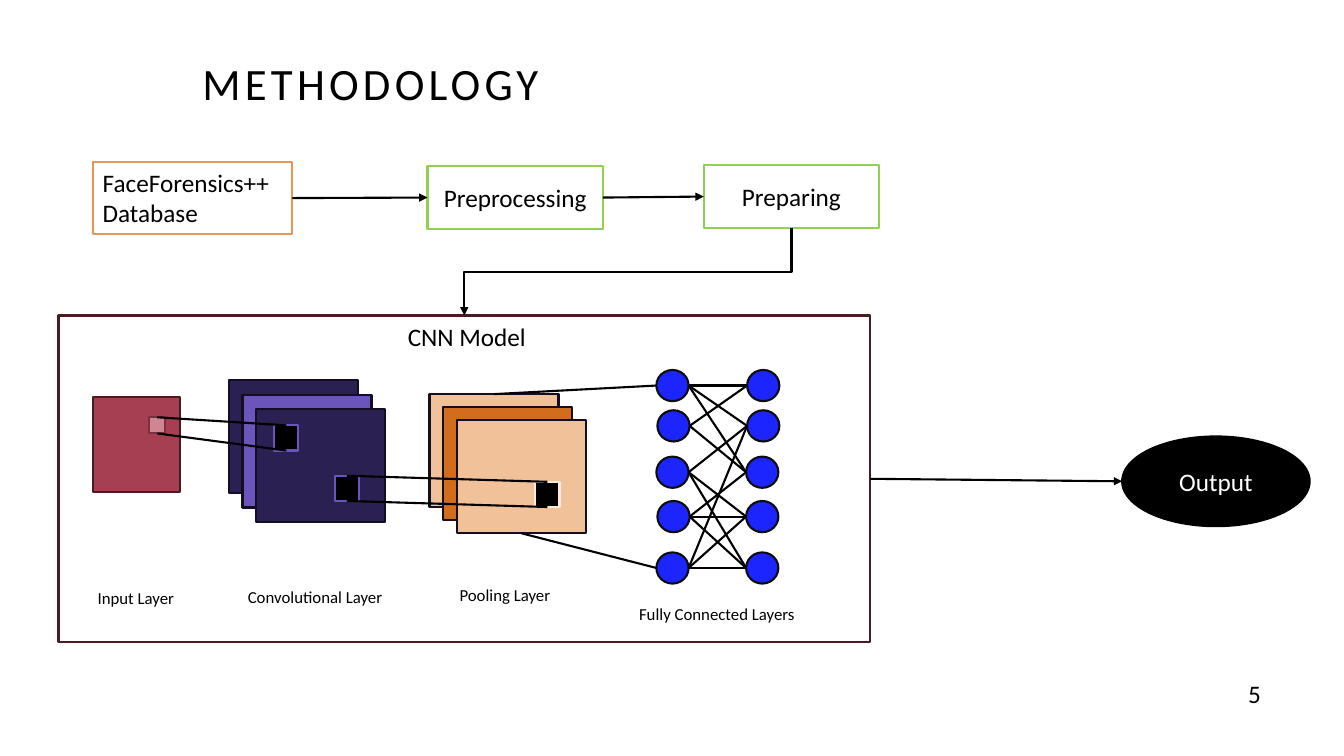
from lxml.etree import SubElement
from pptx import Presentation
from pptx.dml.color import RGBColor
from pptx.enum.shapes import MSO_CONNECTOR, MSO_SHAPE
from pptx.enum.text import MSO_ANCHOR, PP_ALIGN
from pptx.oxml.ns import qn
from pptx.util import Inches, Pt

COLORS = {
    "black": "000000", "white": "FFFFFF", "database": "E89756", "step": "92D050",
    "frame": "481C24", "input": "A53F51", "patch": "D08592", "patch line": "7C2F3D",
    "navy": "2B2052", "violet": "6B54BC", "layer line": "130E24", "peach": "F1C19A",
    "orange": "D26D1D", "cream": "FAEADD", "node": "1D25FF", "node line": "0D0D0D",
}
CELL = Inches(0.1)
NODE_ROWS = (36.7, 40.7, 45.3, 49.7, 54.8)
NODE_LINKS = (
    (0, 0), (0, 1), (0, 2), (1, 0), (1, 2), (2, 1), (2, 3),
    (2, 4), (3, 2), (3, 3), (3, 4), (4, 1), (4, 3), (4, 4),
)
SIDES = {"top": (0.5, 0), "bottom": (0.5, 1), "left": (0, 0.5), "right": (1, 0.5)}


def color(name):
    return RGBColor.from_string(COLORS[name])


def write(frame, text, size=18, ink="black", align=PP_ALIGN.LEFT,
          anchor=MSO_ANCHOR.TOP, spacing=0, line_spacing=1.0):
    frame.word_wrap = True
    frame.vertical_anchor = anchor
    paragraph = frame.paragraphs[0]
    paragraph.alignment = align
    paragraph.line_spacing = line_spacing
    run = paragraph.add_run()
    run.text = text
    run.font.name = "Calibri"
    run.font.size = Pt(size)
    run.font.color.rgb = color(ink)
    if spacing:
        run.font._element.set("spc", str(spacing * 100))


def side_point(shape, side):
    across, down = SIDES[side]
    return int(shape.left + across * shape.width), int(shape.top + down * shape.height)


class Diagram:
    font_format = {"align": PP_ALIGN.CENTER, "anchor": MSO_ANCHOR.MIDDLE}
    line_width = Pt(1.5)

    def __init__(self, presentation):
        self.slide = presentation.slides.add_slide(presentation.slide_layouts[5])

    def cells(self, *values):
        return [round(value * CELL) for value in values]

    def title(self, text, column, row, columns, rows):
        shape = self.slide.shapes.title
        shape.left, shape.top, shape.width, shape.height = self.cells(column, row, columns, rows)
        write(shape.text_frame, text, size=32, align=PP_ALIGN.CENTER,
              anchor=MSO_ANCHOR.BOTTOM, spacing=3, line_spacing=0.9)

    def shape(self, column, row, columns, rows, line, fill=None,
              kind=MSO_SHAPE.RECTANGLE, text=None, **text_format):
        shape = self.slide.shapes.add_shape(kind, *self.cells(column, row, columns, rows))
        shape.shadow.inherit = False
        shape.line.color.rgb = color(line)
        shape.line.width = self.line_width
        if fill:
            shape.fill.solid()
            shape.fill.fore_color.rgb = color(fill)
        else:
            shape.fill.background()
        if text:
            write(shape.text_frame, text, **{**self.font_format, **text_format})
        return shape

    def label(self, text, column, row, columns, rows, **text_format):
        box = self.slide.shapes.add_textbox(*self.cells(column, row, columns, rows))
        write(box.text_frame, text, **text_format)

    def style_connector(self, connector, arrow):
        connector.line.color.rgb = color("black")
        connector.line.width = self.line_width
        if arrow:
            SubElement(connector.line._get_or_add_ln(), qn("a:tailEnd"), type="triangle")
        SubElement(connector._element.spPr, qn("a:effectLst"))

    def link(self, start, start_side, end, end_side, arrow=False):
        connector = self.slide.shapes.add_connector(
            MSO_CONNECTOR.STRAIGHT, *side_point(start, start_side), *side_point(end, end_side))
        self.style_connector(connector, arrow)

    def elbow_down(self, start, end):
        start_x, start_y = side_point(start, "bottom")
        end_x, end_y = side_point(end, "top")
        run, drop = start_x - end_x, end_y - start_y
        left = (start_x + end_x - drop) // 2
        top = (start_y + end_y - run) // 2
        connector = self.slide.shapes.add_connector(
            MSO_CONNECTOR.ELBOW, left, top, left + drop, top + run)
        connector._element.spPr.find(qn("a:xfrm")).set("rot", "5400000")
        self.style_connector(connector, True)

    def stack(self, column, row, step_columns, step_rows, fills):
        return [
            self.shape(column + index * step_columns, row + index * step_rows,
                       12.8, 11.2, "layer line", fill)
            for index, fill in enumerate(fills)
        ]

    def kernel(self, column, row, line):
        return self.shape(column, row, 2.4, 2.5, line, "black")

    def nodes(self, columns):
        return [
            self.shape(column, row, 3.2, 3.1, "node line", "node", MSO_SHAPE.OVAL)
            for column, row in zip(columns, NODE_ROWS)
        ]


def main():
    presentation = Presentation()
    presentation.slide_width = Inches(13.33)
    presentation.slide_height = Inches(7.5)
    diagram = Diagram(presentation)
    diagram.title("METHODOLOGY", 9.2, -2.2, 55.1, 13.6)

    database = diagram.shape(9.2, 16.1, 19.8, 7.1, "database", "white",
                             text="FaceForensics++ Database",
                             align=PP_ALIGN.LEFT, anchor=MSO_ANCHOR.TOP)
    preprocessing = diagram.shape(42.4, 16.5, 17.4, 6.2, "step", text="Preprocessing")
    preparing = diagram.shape(69.8, 16.4, 17.4, 6.2, "step", text="Preparing")
    model = diagram.shape(5.8, 31.3, 80.5, 32.4, "frame")
    output = diagram.shape(111.3, 43.3, 18.6, 8.9, "black", "black", MSO_SHAPE.OVAL,
                           text="Output", ink="white")
    diagram.link(database, "right", preprocessing, "left", arrow=True)
    diagram.link(preprocessing, "right", preparing, "left", arrow=True)
    diagram.elbow_down(preparing, model)
    diagram.link(model, "right", output, "left", arrow=True)
    diagram.label("CNN Model", 37.9, 30.3, 16.8, 6.2, **diagram.font_format)

    diagram.shape(9.2, 39.4, 8.7, 9.4, "frame", "input")
    patch = diagram.shape(14.8, 41.4, 1.6, 1.6, "patch line", "patch")
    diagram.stack(22.7, 37.7, 1.35, 1.45, ("navy", "violet", "navy"))
    pooling = diagram.stack(42.6, 39.1, 1.35, 1.3, ("peach", "orange", "peach"))
    first_kernel = diagram.kernel(27.2, 42.2, "violet")
    second_kernel = diagram.kernel(33.2, 47.2, "violet")
    pooling_kernel = diagram.kernel(53.1, 47.8, "cream")
    for start, end in ((patch, first_kernel), (second_kernel, pooling_kernel)):
        for side in ("top", "bottom"):
            diagram.link(start, side, end, side)

    left_nodes = diagram.nodes((65.1, 65.2, 65.1, 65.2, 65.1))
    right_nodes = diagram.nodes((74.1, 74.1, 74, 74, 74))
    for left, right in NODE_LINKS:
        diagram.link(left_nodes[left], "right", right_nodes[right], "left")
    diagram.link(pooling[0], "top", left_nodes[0], "left")
    diagram.link(pooling[-1], "bottom", left_nodes[-1], "left")

    for text, column, row, columns in (
        ("Input Layer", 8.7, 57.8, 17),
        ("Convolutional Layer", 23.6, 57.7, 17),
        ("Pooling Layer", 44.6, 57.5, 17),
        ("Fully Connected Layers", 62.4, 59.4, 18.6),
    ):
        diagram.label(text, column, row, columns, 3, size=12)
    diagram.label("5", 122.8, 66.8, 3.8, 4)
    presentation.save("out.pptx")


if __name__ == "__main__":
    main()
